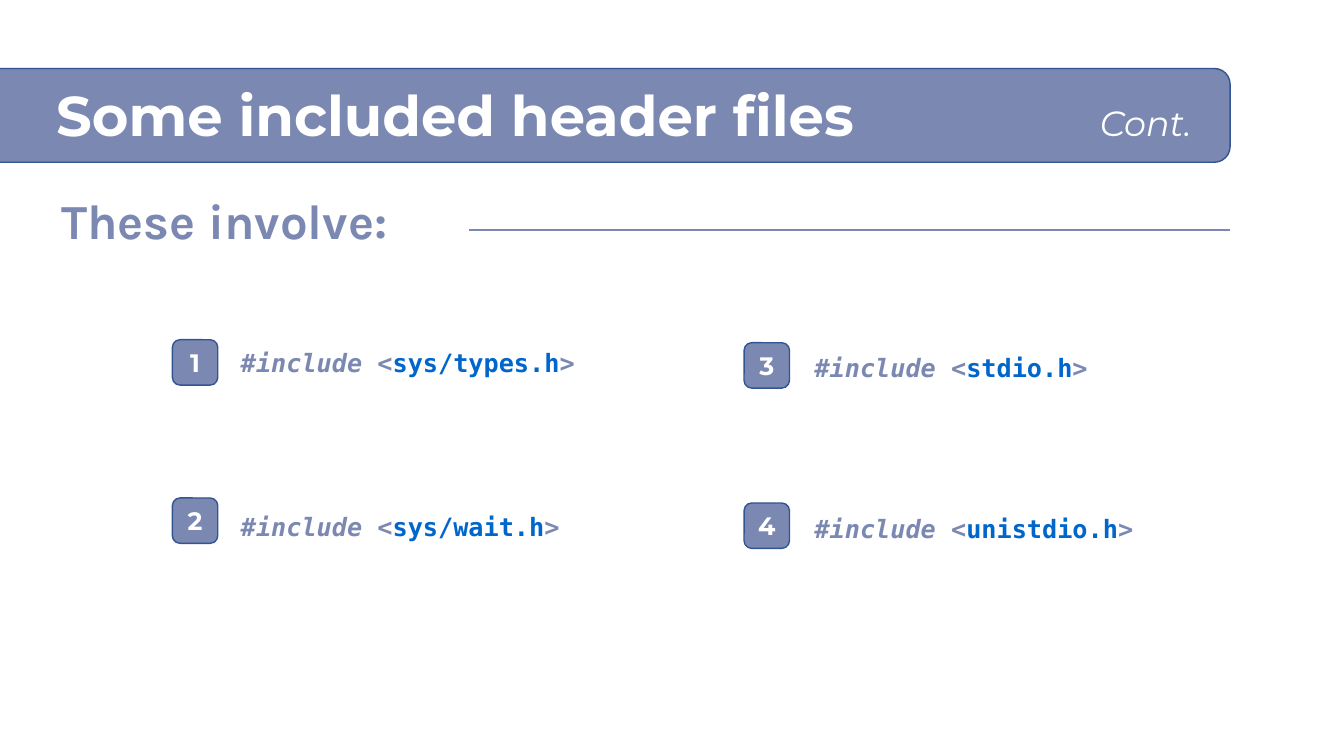
from lxml.etree import SubElement
from pptx import Presentation
from pptx.dml.color import RGBColor
from pptx.enum.shapes import MSO_CONNECTOR, MSO_SHAPE
from pptx.enum.text import MSO_ANCHOR, PP_ALIGN
from pptx.oxml.ns import qn
from pptx.util import Inches, Pt

TITLE, CONTINUED = "Some included header files", "Cont."
SUBTITLE = "These involve:"
# number, header, column, badge top, directive top, whether the brackets slant
HEADERS = [
    ("1", "sys/types.h", 0, 3.37, 3.40, False),
    ("2", "sys/wait.h", 0, 4.94, 5.02, True),
    ("3", "stdio.h", 1, 3.40, 3.45, True),
    ("4", "unistdio.h", 1, 4.99, 5.04, True),
]
BADGE_LEFT = (1.71, 7.38)
DIRECTIVE_LEFT = (2.29, 7.98)
BADGE_SIZE = 0.45
RIGHT_EDGE = 12.2
CONTINUED_TAB = 10.35

COLORS = {"main": "7B88B1", "edge": "325491", "link": "0066CC", "light": "FFFFFF"}
HEADING, BODY, CODE = "Montserrat", "Karla", "DejaVu Sans Mono"


def color(name):
    return RGBColor.from_string(COLORS[name])


def add_run(paragraph, text, size, font, tint, bold=True, italic=False):
    run = paragraph.add_run()
    run.text = text
    run.font.size = Pt(size)
    run.font.name = font
    run.font.bold = bold
    run.font.italic = italic
    run.font.color.rgb = color(tint)


def add_panel(slide, *box):
    panel = slide.shapes.add_shape(MSO_SHAPE.ROUNDED_RECTANGLE, *map(Inches, box))
    panel.shadow.inherit = False
    panel.fill.solid()
    panel.fill.fore_color.rgb = color("main")
    panel.line.color.rgb = color("edge")
    panel.line.width = Pt(1)
    return panel


def add_text(slide, *box, wrap=True):
    frame = slide.shapes.add_textbox(*map(Inches, box)).text_frame
    frame.word_wrap = wrap
    return frame


def add_title(slide):
    add_panel(slide, -0.22, 0.68, RIGHT_EDGE + 0.22, 0.93)
    frame = add_text(slide, 0.46, 0.43, 12.4, 1.45)
    frame.vertical_anchor = MSO_ANCHOR.MIDDLE
    line = frame.paragraphs[0]
    line.line_spacing = 0.9
    tabs = SubElement(line._p.get_or_add_pPr(), qn("a:tabLst"))
    SubElement(tabs, qn("a:tab"), pos=str(Inches(CONTINUED_TAB)), algn="l")
    add_run(line, TITLE, 40, HEADING, "light")
    add_run(line, "\t", 44, HEADING, "light")
    add_run(line, CONTINUED, 25, HEADING, "light", bold=False, italic=True)


def add_subtitle(slide):
    frame = add_text(slide, 0.51, 1.84, 3.56, 0.69, wrap=False)
    add_run(frame.paragraphs[0], SUBTITLE, 35, BODY, "main")
    rule = slide.shapes.add_connector(
        MSO_CONNECTOR.STRAIGHT, *map(Inches, (4.65, 2.28, RIGHT_EDGE, 2.28)))
    rule.line.color.rgb = color("main")
    rule.line.width = Pt(1.5)
    SubElement(rule._element.spPr, qn("a:effectLst"))


def add_header(slide, number, header, column, badge_top, directive_top, slanted):
    badge = add_panel(slide, BADGE_LEFT[column], badge_top, BADGE_SIZE, BADGE_SIZE)
    badge.text_frame.vertical_anchor = MSO_ANCHOR.MIDDLE
    label = badge.text_frame.paragraphs[0]
    label.alignment = PP_ALIGN.CENTER
    add_run(label, number, 18, HEADING, "light")

    directive = add_text(slide, DIRECTIVE_LEFT[column], directive_top, 4.25, 0.4).paragraphs[0]
    for text, tint, italic in (
        ("#include", "main", True),
        (" <", "main", slanted),
        (header, "link", False),
        (">", "main", slanted),
    ):
        add_run(directive, text, 18, CODE, tint, italic=italic)


def main():
    deck = Presentation()
    deck.slide_width, deck.slide_height = Inches(13.33), Inches(7.5)
    slide = deck.slides.add_slide(deck.slide_layouts[6])
    add_title(slide)
    add_subtitle(slide)
    for entry in HEADERS:
        add_header(slide, *entry)
    deck.save("out.pptx")


if __name__ == "__main__":
    main()
